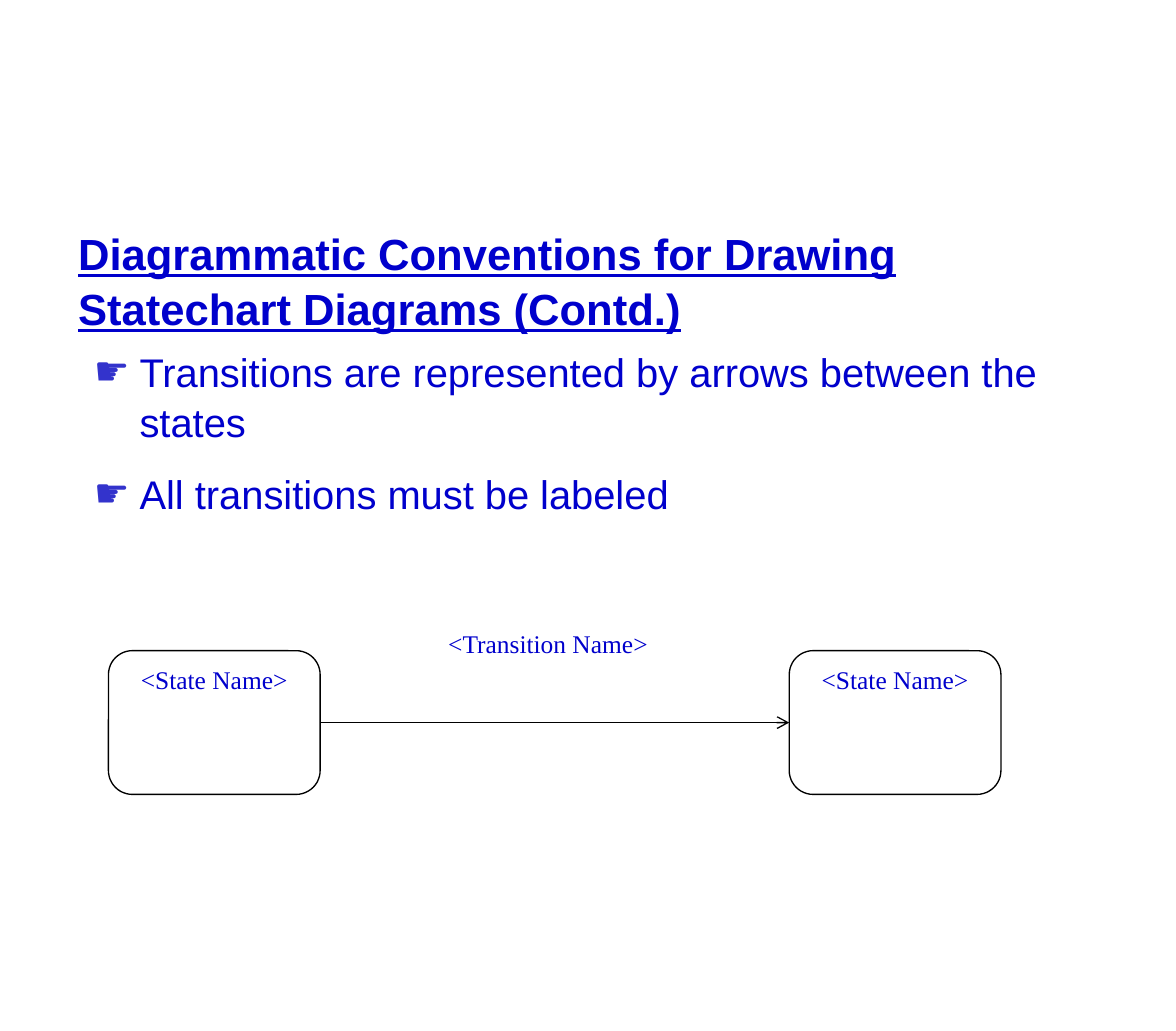
from lxml import etree
from pptx import Presentation
from pptx.dml.color import RGBColor
from pptx.enum.shapes import MSO_CONNECTOR, MSO_SHAPE
from pptx.enum.text import MSO_ANCHOR, PP_ALIGN
from pptx.oxml.ns import qn
from pptx.util import Inches, Pt

ROUND = MSO_SHAPE.ROUNDED_RECTANGLE
RECT = MSO_SHAPE.RECTANGLE
STRAIGHT = MSO_CONNECTOR.STRAIGHT
TOP = MSO_ANCHOR.TOP
LEFT, CENTER = PP_ALIGN.LEFT, PP_ALIGN.CENTER

BLUE, BLACK, WHITE, MARK = "0000CC", "000000", "FFFFFF", "3333CC"
TITLE = "Diagrammatic Conventions for Drawing Statechart Diagrams (Contd.)"
ITEMS = (
    "Transitions are represented by arrows between the states",
    "All transitions must be labeled",
)


def color(code):
    return RGBColor.from_string(code)


def write(para, text, size=14, font="Times New Roman", bold=False,
          under=False, align=LEFT, gap=0, line=1.0):
    run = para.add_run()
    run.text = text
    run.font.size = Pt(size)
    run.font.name = font
    run.font.bold = bold
    run.font.underline = under
    run.font.color.rgb = color(BLUE)
    para.alignment = align
    para.space_before = para.space_after = Pt(gap)
    para.line_spacing = line


def bullet(para, sign):
    props = para._p.get_or_add_pPr()
    props.set("marL", str(Inches(0.47)))
    props.set("indent", str(-Inches(0.35)))
    tint = etree.SubElement(props, qn("a:buClr"))
    etree.SubElement(tint, qn("a:srgbClr"), val=MARK)
    etree.SubElement(props, qn("a:buFont"), typeface="Arial")
    etree.SubElement(props, qn("a:buChar"), char=sign)


def add_body(slide):
    box = slide.shapes.add_textbox(
        Inches(0.5), Inches(1.67), Inches(8.17), Inches(5.61))
    frame = box.text_frame
    frame.word_wrap = True
    write(frame.paragraphs[0], TITLE, size=24, font="Arial", bold=True,
          under=True, line=1.05)
    for item in ITEMS:
        para = frame.add_paragraph()
        write(para, item, size=22, font="Arial", gap=6, line=1.05)
        bullet(para, "☛")


def add_box(slide, kind, left, top, width, height, text, line=None):
    box = slide.shapes.add_shape(
        kind, Inches(left), Inches(top), Inches(width), Inches(height))
    box.shadow.inherit = False
    box.fill.solid()
    box.fill.fore_color.rgb = color(WHITE)
    if line:
        box.line.color.rgb = color(line)
        box.line.width = Pt(0.75)
    else:
        box.line.fill.background()
    frame = box.text_frame
    frame.word_wrap = True
    frame.vertical_anchor = TOP
    write(frame.paragraphs[0], text, align=CENTER)
    return box


def add_state(slide, left):
    return add_box(slide, ROUND, left, 4.98, 1.62, 1.1, "<State Name>",
                   line=BLACK)


def add_arrow(slide, start, end):
    arrow = slide.shapes.add_connector(STRAIGHT, 0, 0, 0, 0)
    arrow.begin_connect(start, 3)
    arrow.end_connect(end, 1)
    arrow.line.color.rgb = color(BLACK)
    arrow.line.width = Pt(0.75)
    etree.SubElement(arrow.line._get_or_add_ln(), qn("a:tailEnd"),
                     type="arrow")
    etree.SubElement(arrow._element.spPr, qn("a:effectLst"))


def main():
    deck = Presentation()
    deck.slide_width, deck.slide_height = Inches(9), Inches(7.89)
    slide = deck.slides.add_slide(deck.slide_layouts[6])

    # Title and rules
    add_body(slide)

    # Two states joined by a labeled transition
    add_box(slide, RECT, 2.98, 4.76, 2.43, 0.55, "<Transition Name>")
    source, target = [add_state(slide, left) for left in (0.83, 6.04)]
    add_arrow(slide, source, target)

    deck.save("out.pptx")


if __name__ == "__main__":
    main()
